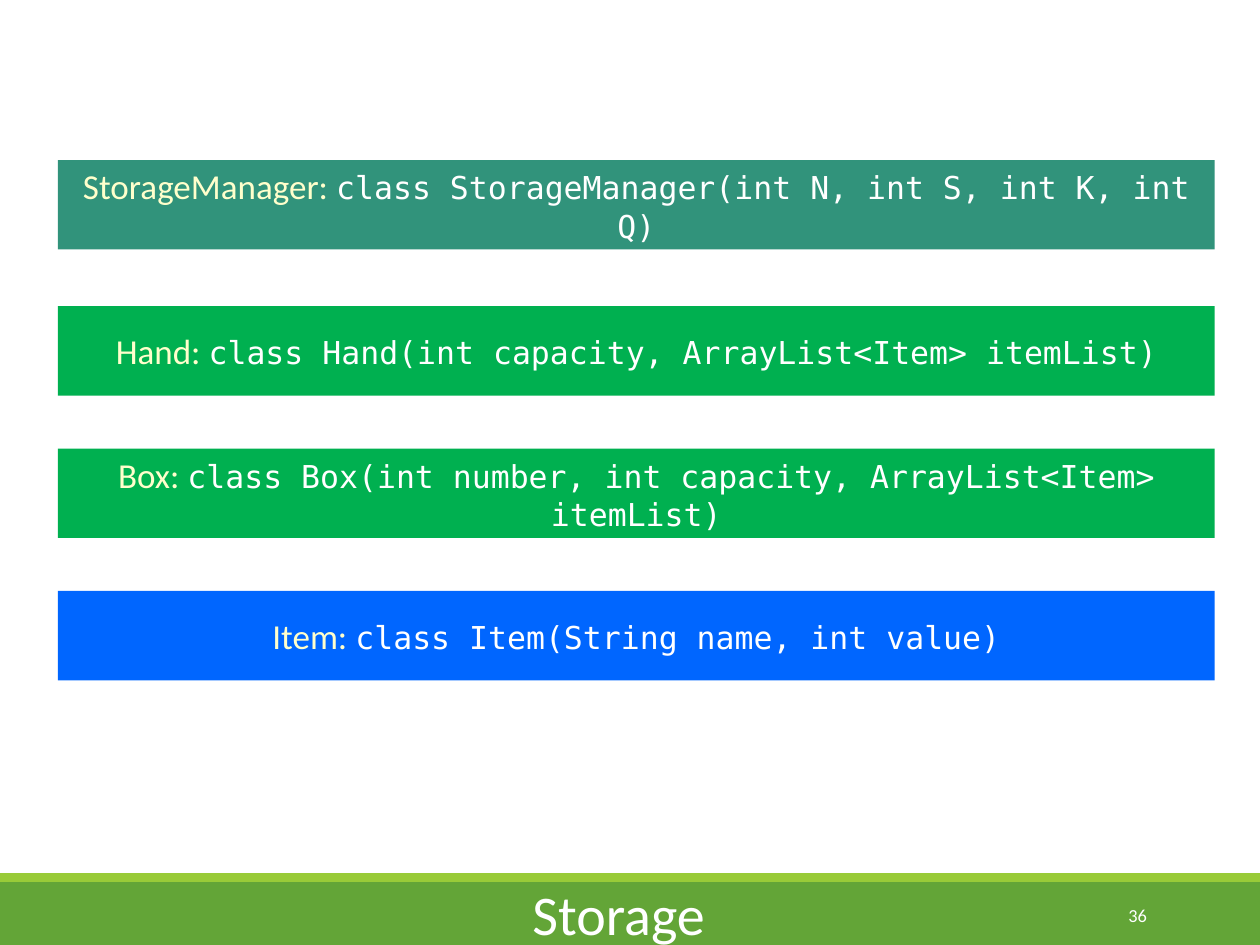
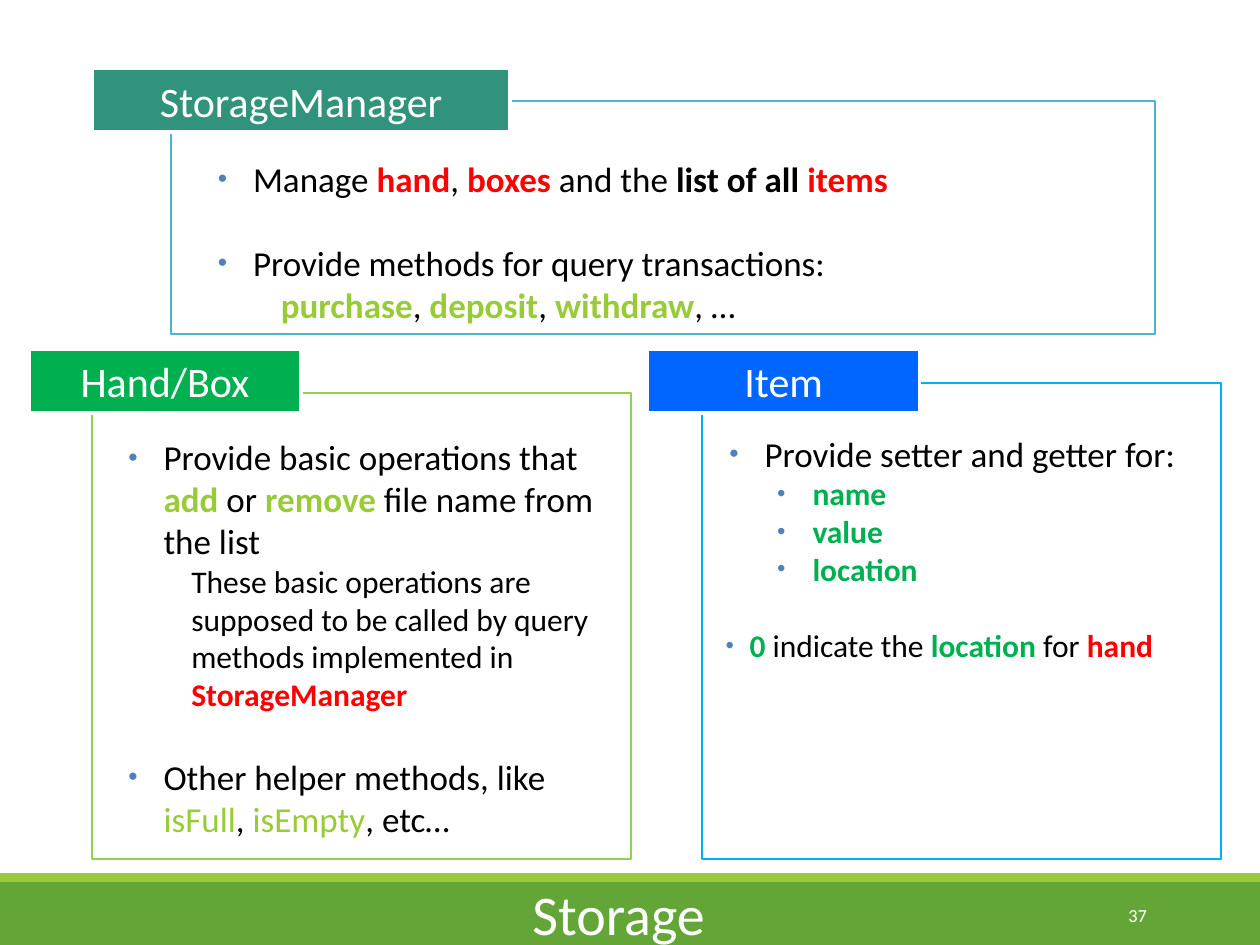
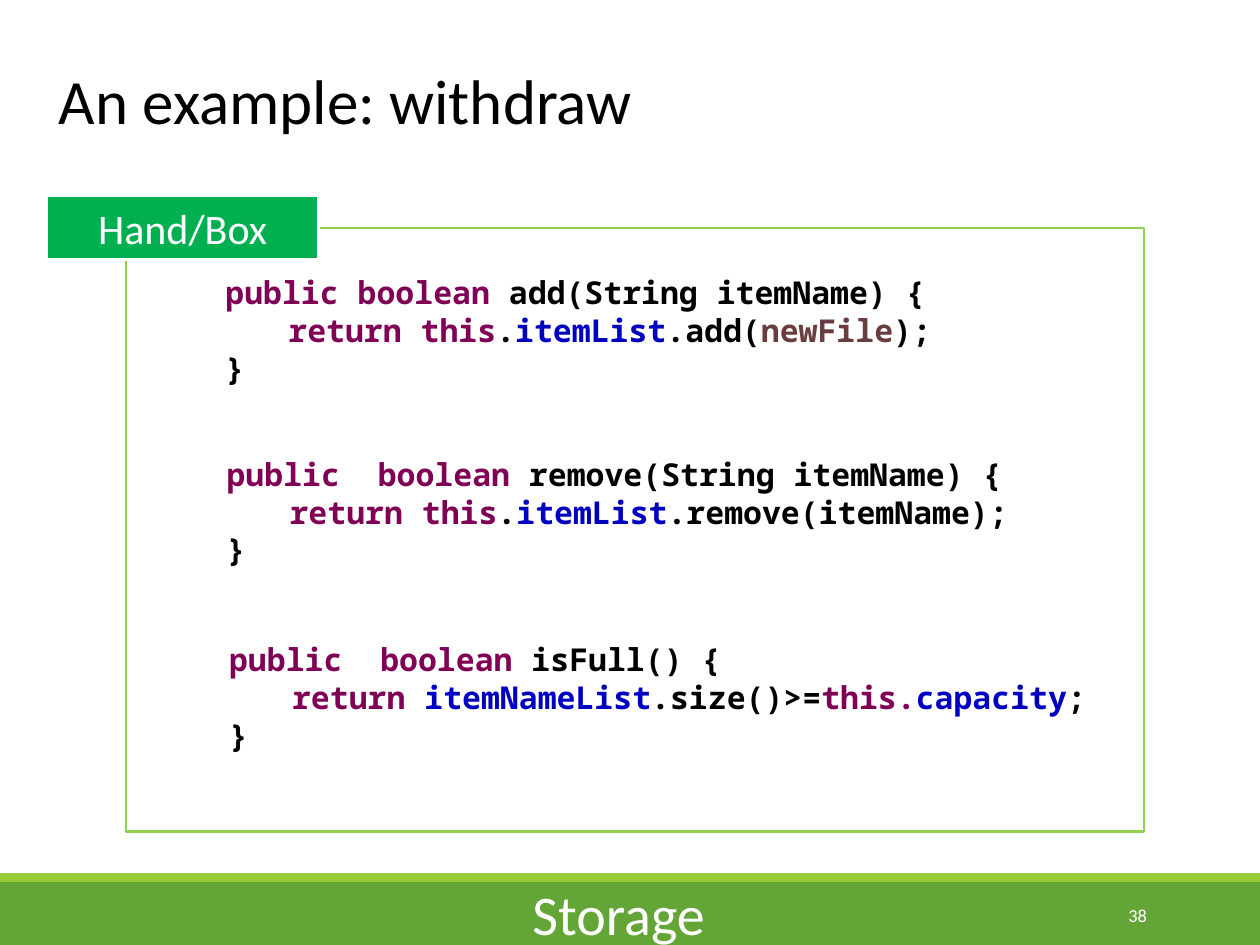
from lxml import etree
from pptx import Presentation
from pptx.dml.color import RGBColor
from pptx.enum.shapes import MSO_SHAPE
from pptx.enum.text import MSO_ANCHOR, MSO_AUTO_SIZE, PP_ALIGN
from pptx.oxml.ns import qn
from pptx.util import Inches, Pt

RECT = MSO_SHAPE.RECTANGLE
TOP, MIDDLE, BOTTOM = MSO_ANCHOR.TOP, MSO_ANCHOR.MIDDLE, MSO_ANCHOR.BOTTOM
LEFT, CENTER, RIGHT = PP_ALIGN.LEFT, PP_ALIGN.CENTER, PP_ALIGN.RIGHT
NO_FIT = MSO_AUTO_SIZE.NONE

WHITE = RGBColor(0xFF, 0xFF, 0xFF)
BLACK = RGBColor(0, 0, 0)
CREAM = RGBColor(0xFF, 0xFF, 0xCC)
RED = RGBColor(0xFF, 0, 0)
MOSS = RGBColor(0x63, 0xA5, 0x37)
LIME = RGBColor(0x99, 0xCB, 0x38)
LEAF = RGBColor(0x92, 0xD0, 0x50)
GREEN = RGBColor(0, 0xB0, 0x50)
TEAL = RGBColor(0x31, 0x93, 0x7B)
BLUE = RGBColor(0, 0x66, 0xFF)
AQUA = RGBColor(0x4E, 0xB3, 0xCF)
SKY = RGBColor(0, 0xB0, 0xF0)
DOT = RGBColor(0x4F, 0x81, 0xBD)
PLUM = RGBColor(0x7F, 0, 0x55)
NAVY = RGBColor(0, 0, 0xC0)
BROWN = RGBColor(0x6A, 0x3E, 0x3E)

SANS, MONO, CODE = "Calibri", "DejaVu Sans Mono", "Noto Sans Mono"
FIRST = 36


# Text
def indent(para, left, hang, bullet):
    """Set the margins of a paragraph and, if asked, its bullet."""
    props = para._p.get_or_add_pPr()
    props.set("marL", str(Inches(left)))
    props.set("indent", str(Inches(hang)))
    if bullet:
        color = etree.SubElement(props, qn("a:buClr"))
        etree.SubElement(color, qn("a:srgbClr"), val=str(DOT))
        etree.SubElement(props, qn("a:buSzPct"), val="76000")
        etree.SubElement(props, qn("a:buFont"), typeface="Arial")
        etree.SubElement(props, qn("a:buChar"), char="•")


def write(para, text, size=18, font=SANS, color=BLACK, bold=False,
          align=LEFT, level=0, left=0, hang=0, bullet=False, before=0):
    """Fill a paragraph; text is a string or (text, format) pairs."""
    indent(para, left, hang, bullet)
    para.level, para.alignment = level, align
    para.space_before = Pt(before)
    for part, form in [(text, {})] if isinstance(text, str) else text:
        run = para.add_run()
        run.text = part
        run.font.size = Pt(form.get("size", size))
        run.font.name = form.get("font", font)
        run.font.bold = form.get("bold", bold)
        run.font.color.rgb = form.get("color", color)


def setup(frame, anchor):
    frame.word_wrap, frame.auto_size = True, NO_FIT
    frame.vertical_anchor = anchor
    return frame


def label(slide, box, lines, anchor=TOP, **form):
    """Add a text box; lines are (text, format) pairs."""
    shape = slide.shapes.add_textbox(*map(Inches, box))
    frame = setup(shape.text_frame, anchor)
    for i, (text, own) in enumerate(lines):
        para = frame.add_paragraph() if i else frame.paragraphs[0]
        write(para, text, **{**form, **own})


def strong(text, color):
    return text, {"color": color, "bold": True}


def plain(text, color=BLACK):
    return text, {"color": color}


# Shapes
def block(slide, box, fill=None, line=None, width=1.25, text=None, **form):
    shape = slide.shapes.add_shape(RECT, *map(Inches, box))
    shape.shadow.inherit = False
    if fill is None:
        shape.fill.background()
    else:
        shape.fill.solid()
        shape.fill.fore_color.rgb = fill
    if line is None:
        shape.line.fill.background()
    else:
        shape.line.color.rgb = line
        shape.line.width = Pt(width)
    if text:
        frame = setup(shape.text_frame, MIDDLE)
        write(frame.paragraphs[0], text, align=CENTER, color=WHITE, **form)
    return shape


def card(slide, box, line, name, fill, shift, wide=2.16):
    """Draw an outlined panel with a name tab over its top left corner."""
    x, y = box[:2]
    block(slide, box, line=line)
    tab = (x + shift[0], y + shift[1], wide, 0.51)
    block(slide, tab, fill, WHITE, 2, name, size=24)


# Shared parts
def bands(slide, layout):
    """Draw the bottom bands and hand them to the layout."""
    for box, fill in (((0, 7, 10, 0.5), MOSS), ((0, 6.93, 10, 0.07), LIME)):
        layout.shapes.element.append(block(slide, box, fill).element)


def base(deck, layout, number):
    slide = deck.slides.add_slide(layout)
    title = slide.shapes.title
    title.left, title.top = Inches(2.79), Inches(6.92)
    title.width, title.height = Inches(4.24), Inches(0.64)
    frame = setup(title.text_frame, BOTTOM)
    write(frame.paragraphs[0], "Storage", size=32, color=WHITE, align=CENTER)
    label(slide, (8.12, 7.06, 1.08, 0.4), [(str(number), {})], MIDDLE,
          size=10.5, color=WHITE, align=RIGHT)
    return slide


# Class signatures
def classes(slide, box):
    x, y, w, h = box
    rows = (
        (0, TEAL, "StorageManager: ",
         "class StorageManager(int N, int S, int K, int Q)"),
        (1.16, GREEN, "Hand: ",
         "class Hand(int capacity, ArrayList<Item> itemList)"),
        (2.29, GREEN, "Box: ",
         "class Box(int number, int capacity, ArrayList<Item> itemList)"),
        (3.42, BLUE, "Item: ", "class Item(String name, int value)"),
    )
    for drop, fill, name, code in rows:
        block(slide, (x, y + drop, w, h), fill,
              text=[(name, {"size": 20, "color": CREAM}),
                    (code, {"font": MONO})])


# Roles of the classes
POINT = {"left": 0.38, "hang": -0.28, "bullet": True, "size": 20}
NOTE = {"left": 0.6, "level": 1}


def manager(slide, box):
    x, y = box[:2]
    card(slide, box, AQUA, "StorageManager", TEAL, (-0.63, -0.26), 3.32)
    label(slide, (x + 0.17, y + 0.4, 8.08, 1.45), [
        ([plain("Manage "), strong("hand", RED), plain(", "),
          strong("boxes ", RED), plain("and the "),
          strong("list of all ", BLACK), strong("items", RED)], POINT),
        ("Provide methods for query transactions:", {**POINT, "before": 24}),
        ([strong("purchase", LIME), plain(", "), strong("deposit", LIME),
          plain(", "), strong("withdraw", LIME), plain(", …")],
         {**NOTE, "size": 20}),
    ])


def holder(slide, box):
    x, y = box[:2]
    card(slide, box, LEAF, "Hand/Box", GREEN, (-0.5, -0.35))
    label(slide, (x + 0.09, y + 0.29, 4.06, 3.33), [
        ([plain("Provide basic operations that "), strong("add", LIME),
          plain(" or "), strong("remove", LIME),
          plain(" file name from the list")], POINT),
        ([plain("These basic operations are supposed to be called by "
                "query methods implemented in "),
          strong("StorageManager", RED)], NOTE),
        ([plain("Other helper methods, like "), plain("isFull", LIME),
          plain(", "), plain("isEmpty", LIME), plain(", etc…")],
         {**POINT, "before": 24}),
    ])


def item(slide, box):
    x, y = box[:2]
    card(slide, box, SKY, "Item", BLUE, (-0.43, -0.27))
    field = {**POINT, "left": 0.69, "level": 1, "size": 18,
             "color": GREEN, "bold": True}
    label(slide, (x + 0.09, y + 0.34, 3.95, 1.95), [
        ("Provide setter and getter for:", {**POINT, "left": 0.31}),
        *((name, field) for name in ("name", "value", "location")),
        ([strong("0 ", GREEN), plain("indicate the "),
          strong("location", GREEN), plain(" for "), strong("hand", RED)],
         {**POINT, "left": 0.19, "size": 18, "before": 22}),
    ])


# Code example
def method(slide, box, head, body):
    label(slide, box, [(head, {}), (body, {"left": 0.5, "level": 1}),
                       ("}", {})], font=CODE, bold=True)


def example(slide, box):
    x, y = box[:2]
    label(slide, (x - 0.63, y - 1.37, 6.06, 0.71),
          [("An example: withdraw", {})], size=36)
    card(slide, box, LEAF, "Hand/Box", GREEN, (-0.63, -0.26))
    this = [plain("return this", PLUM), plain("."), plain("itemList", NAVY)]
    method(slide, (x + 0.69, y + 0.31, 7.02, 1.31),
           [plain("public boolean ", PLUM), plain("add(String itemName) {")],
           this + [plain(".add("), plain("newFile", BROWN), plain(");")])
    method(slide, (x + 0.7, y + 1.75, 7.14, 1.01),
           [plain("public  boolean ", PLUM),
            plain("remove(String itemName) {")],
           this + [plain(".remove(itemName);")])
    method(slide, (x + 0.72, y + 3.22, 7.14, 1.01),
           [plain("public  boolean ", PLUM), plain("isFull() {")],
           [plain("return ", PLUM), plain("itemNameList", NAVY),
            plain(".size()>="), plain("this.", PLUM),
            plain("capacity", NAVY), plain(";")])


def main():
    deck = Presentation()
    deck.slide_width, deck.slide_height = Inches(10), Inches(7.5)
    layout = deck.slide_layouts[5]
    first, second, third = (base(deck, layout, FIRST + i) for i in range(3))
    bands(first, layout)

    classes(first, (0.46, 1.27, 9.18, 0.71))
    manager(second, (1.36, 0.8, 7.81, 1.85))
    holder(second, (0.73, 3.12, 4.28, 3.7))
    item(second, (5.57, 3.04, 4.12, 3.78))
    example(third, (1, 1.81, 8.08, 4.79))
    deck.save("out.pptx")


if __name__ == "__main__":
    main()
